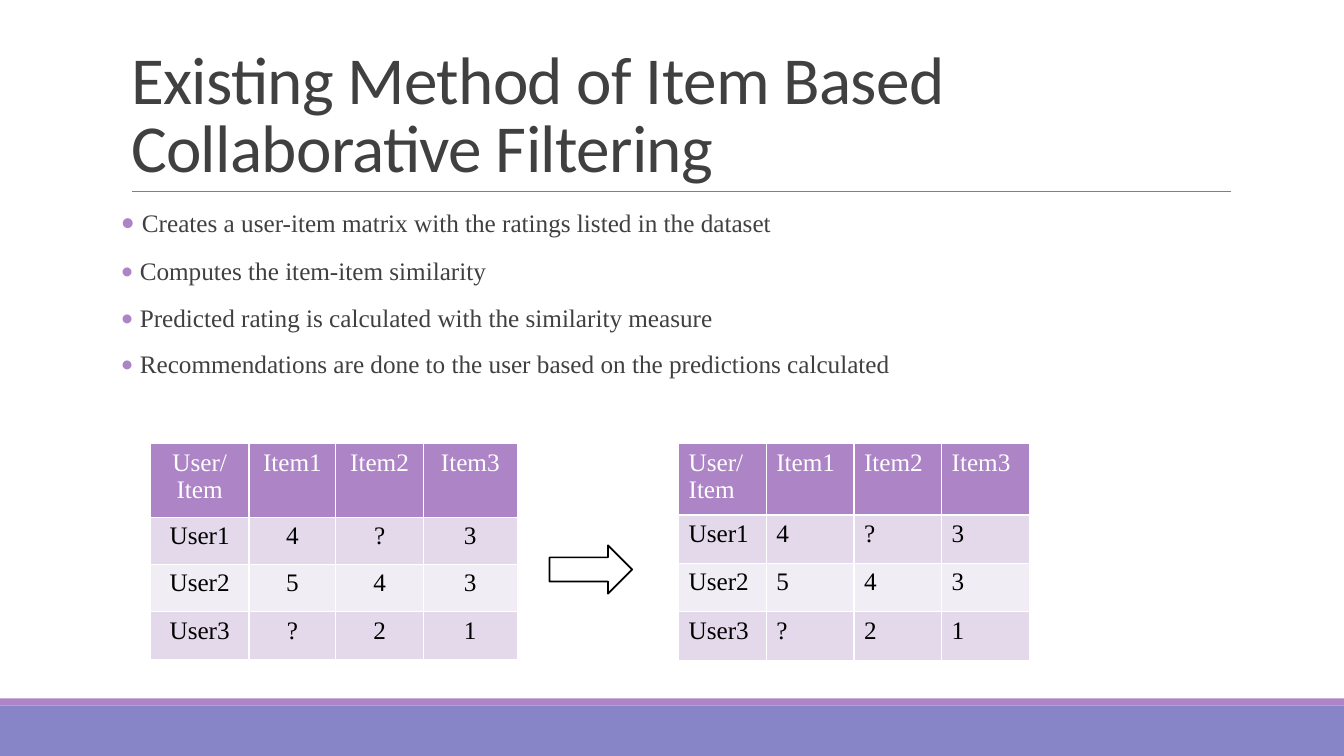
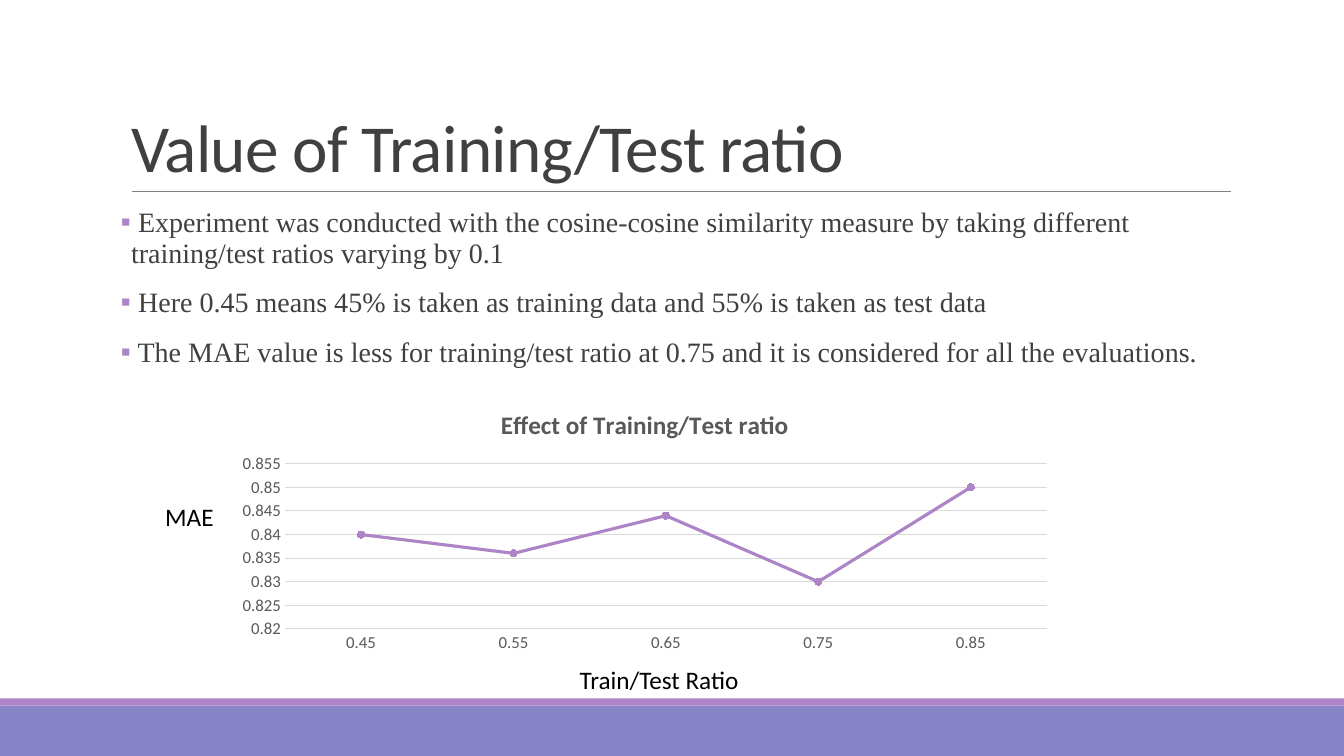
from dataclasses import dataclass

from lxml import etree
from pptx import Presentation
from pptx.chart.data import CategoryChartData
from pptx.dml.color import RGBColor
from pptx.enum.chart import XL_CHART_TYPE, XL_MARKER_STYLE, XL_TICK_MARK
from pptx.enum.shapes import MSO_CONNECTOR, MSO_SHAPE
from pptx.enum.text import MSO_ANCHOR, MSO_AUTO_SIZE, PP_ALIGN
from pptx.oxml.ns import qn
from pptx.util import Emu, Pt

LINE_MARKERS = XL_CHART_TYPE.LINE_MARKERS
CIRCLE = XL_MARKER_STYLE.CIRCLE
NO_TICK = XL_TICK_MARK.NONE
STRAIGHT = MSO_CONNECTOR.STRAIGHT
RECTANGLE = MSO_SHAPE.RECTANGLE
RIGHT_ARROW = MSO_SHAPE.RIGHT_ARROW
BOTTOM = MSO_ANCHOR.BOTTOM
NO_AUTOFIT = MSO_AUTO_SIZE.NONE
LEFT, CENTER = PP_ALIGN.LEFT, PP_ALIGN.CENTER

EMU_PER_PX = 9144  # 100 px to the inch
SLIDE_W, SLIDE_H = 1333, 750
TITLE_AND_CONTENT = 1


@dataclass(frozen=True)
class Theme:
    heading_font: str = "Calibri"
    body_font: str = "Times New Roman"
    ink: str = "404040"
    black: str = "000000"
    white: str = "FFFFFF"
    accent: str = "AD84C6"
    footer: str = "8784C7"
    rule: str = "808080"
    row_tints: tuple = ("E3D9EA", "F1EDF5")
    chart_text: str = "595959"
    grid: str = "D9D9D9"
    title_size: int = 48
    large_size: int = 20
    text_size: int = 18
    axis_size: int = 12


def px(n):
    return Emu(n * EMU_PER_PX)


def rgb(value):
    return RGBColor.from_string(value)


def add_text(p, text, *, size, font, color, align=LEFT, tracking=None):
    """Add one formatted run to paragraph p; tracking is in points."""
    p.alignment = align
    r = p.add_run()
    r.text = text
    r.font.size = Pt(size)
    r.font.name = font
    r.font.color.rgb = rgb(color)
    if tracking is not None:
        r.font._element.set("spc", str(round(tracking * 100)))


def style_line(line, color, width):
    line.color.rgb = rgb(color)
    line.width = Pt(width)


def set_bullet(p, char, color, font):
    """Give p a coloured bullet; call it after the spacing is set."""
    pPr = p._p.get_or_add_pPr()
    pPr.set("marL", str(px(10)))
    pPr.set("indent", str(px(-10)))
    clr = etree.SubElement(pPr, qn("a:buClr"))
    etree.SubElement(clr, qn("a:srgbClr"), val=color)
    etree.SubElement(pPr, qn("a:buFont"), typeface=font)
    etree.SubElement(pPr, qn("a:buChar"), char=char)


def set_borders(cell, color, width):
    tcPr = cell._tc.get_or_add_tcPr()
    for i, side in enumerate(("lnL", "lnR", "lnT", "lnB")):
        ln = etree.Element(qn(f"a:{side}"), w=str(Pt(width)))
        fill = etree.SubElement(ln, qn("a:solidFill"))
        etree.SubElement(fill, qn("a:srgbClr"), val=color)
        tcPr.insert(i, ln)


class Deck:
    def __init__(self, theme):
        self.theme = theme
        self.prs = Presentation()
        self.prs.slide_width, self.prs.slide_height = px(SLIDE_W), px(SLIDE_H)
        self.slide = None

    def new_slide(self, title):
        """Start a slide with its footer bands, title and title rule."""
        t = self.theme
        layout = self.prs.slide_layouts[TITLE_AND_CONTENT]
        self.slide = self.prs.slides.add_slide(layout)
        self.shape(RECTANGLE, 0, 700, SLIDE_W, 50, fill=t.footer)
        self.shape(RECTANGLE, 0, 693, SLIDE_W, 7, fill=t.accent)
        self.line(131, 190, 1221, 190, t.rule, 0.5)

        tf = self.place(self.slide.shapes.title, 120, 31, 1100, 159)
        tf.vertical_anchor = BOTTOM
        p = tf.paragraphs[0]
        p.line_spacing = 0.85
        add_text(p, title, size=t.title_size, font=t.heading_font,
                 color=t.ink, tracking=-0.5)

    def place(self, sp, x, y, w, h):
        """Move a placeholder and return its text frame, without autofit."""
        sp.left, sp.top, sp.width, sp.height = map(px, (x, y, w, h))
        tf = sp.text_frame
        tf.word_wrap = True
        tf.auto_size = NO_AUTOFIT
        return tf

    def shape(self, kind, x, y, w, h, *, fill=None, line=None, line_width=1):
        sp = self.slide.shapes.add_shape(kind, *map(px, (x, y, w, h)))
        sp.shadow.inherit = False
        if fill:
            sp.fill.solid()
            sp.fill.fore_color.rgb = rgb(fill)
        else:
            sp.fill.background()
        if line:
            style_line(sp.line, line, line_width)
        else:
            sp.line.fill.background()

    def line(self, x1, y1, x2, y2, color, width):
        cxn = self.slide.shapes.add_connector(
            STRAIGHT, *map(px, (x1, y1, x2, y2)))
        style_line(cxn.line, color, width)
        etree.SubElement(cxn._element.spPr, qn("a:effectLst"))

    def bullets(self, items, char, size, first_bullet_size=None):
        """Fill the body; a bullet takes the size of the space after it."""
        t = self.theme
        tf = self.place(self.slide.placeholders[1], 120, 202, 1100, 440)
        tf.margin_left = tf.margin_right = 0
        for i, item in enumerate(items):
            p = tf.add_paragraph() if i else tf.paragraphs[0]
            p.line_spacing = 0.9
            p.space_before, p.space_after = Pt(12), Pt(2)
            set_bullet(p, char, t.accent, t.heading_font)
            lead_size = size if i else first_bullet_size or size
            for text, text_size in ((" ", lead_size), (item, size)):
                add_text(p, text, size=text_size, font=t.body_font,
                         color=t.ink)

    def label(self, text, x, y, w, h):
        t = self.theme
        tf = self.slide.shapes.add_textbox(*map(px, (x, y, w, h))).text_frame
        tf.word_wrap = True
        add_text(tf.paragraphs[0], text, size=t.text_size,
                 font=t.heading_font, color=t.black)

    def table(self, rows, x, y, col_widths, row_heights, align=LEFT):
        t = self.theme
        table = self.slide.shapes.add_table(
            len(rows), len(col_widths), px(x), px(y),
            px(sum(col_widths)), px(sum(row_heights))).table
        table.first_row = table.horz_banding = False
        for col, width in zip(table.columns, col_widths):
            col.width = px(width)
        for row, height in zip(table.rows, row_heights):
            row.height = px(height)
        for i, row in enumerate(rows):
            fill = t.row_tints[(i - 1) % 2] if i else t.accent
            for j, text in enumerate(row):
                cell = table.cell(i, j)
                cell.fill.solid()
                cell.fill.fore_color.rgb = rgb(fill)
                set_borders(cell, t.white, 1)
                add_text(cell.text_frame.paragraphs[0], text,
                         size=t.text_size, font=t.body_font,
                         color=t.black if i else t.white, align=align)

    def line_chart(self, title, categories, values, x, y, w, h, scale):
        """Draw one series; scale is (minimum, maximum, step)."""
        t = self.theme
        data = CategoryChartData()
        data.categories = categories
        data.add_series("Series 1", values)
        chart = self.slide.shapes.add_chart(
            LINE_MARKERS, *map(px, (x, y, w, h)), data).chart
        chart.has_legend = False
        chart.font.name = t.heading_font
        chart.font.size = Pt(t.axis_size)
        chart.font.color.rgb = rgb(t.chart_text)
        chart.has_title = True
        chart.chart_title.include_in_layout = False
        add_text(chart.chart_title.text_frame.paragraphs[0], title,
                 size=t.text_size, font=t.heading_font, color=t.chart_text,
                 align=CENTER)

        cat_axis, val_axis = chart.category_axis, chart.value_axis
        for axis in (cat_axis, val_axis):
            axis.major_tick_mark = axis.minor_tick_mark = NO_TICK
        style_line(cat_axis.format.line, t.grid, 0.75)
        val_axis.format.line.fill.background()
        style_line(val_axis.major_gridlines.format.line, t.grid, 0.75)
        (val_axis.minimum_scale, val_axis.maximum_scale,
         val_axis.major_unit) = scale

        plot = chart.plots[0]
        plot.vary_by_categories = False
        series = plot.series[0]
        series.smooth = False
        style_line(series.format.line, t.accent, 2.25)
        marker = series.marker
        marker.style, marker.size = CIRCLE, 5
        marker.format.fill.solid()
        marker.format.fill.fore_color.rgb = rgb(t.accent)
        style_line(marker.format.line, t.accent, 0.75)


def build_method_slide(deck):
    t = deck.theme
    deck.new_slide("Existing Method of Item Based Collaborative Filtering")
    deck.bullets([
        "Creates a user-item matrix with the ratings listed in the dataset",
        "Computes the item-item similarity",
        "Predicted rating is calculated with the similarity measure",
        "Recommendations are done to the user based on the predictions "
        "calculated",
    ], "•", t.text_size, first_bullet_size=t.large_size)
    ratings = [
        ("User/ Item", "Item1", "Item2", "Item3"),
        ("User1", "4", "?", "3"),
        ("User2", "5", "4", "3"),
        ("User3", "?", "2", "1"),
    ]
    deck.table(ratings, 149, 440, [98, 86, 87, 93], [73] + [47] * 3, CENTER)
    deck.shape(RIGHT_ARROW, 545, 541, 82, 48, line=t.black, line_width=1.25)
    deck.table(ratings, 673, 440, [87] * 4, [71] + [48] * 3)


def build_ratio_slide(deck):
    deck.new_slide("Value of Training/Test ratio")
    deck.bullets([
        "Experiment was conducted with the cosine-cosine similarity measure "
        "by taking different training/test ratios varying by 0.1",
        "Here 0.45 means 45% is taken as training data and 55% is taken as "
        "test data",
        "The MAE value is less for training/test ratio at 0.75 and it is "
        "considered for all the evaluations.",
    ], "▪", deck.theme.large_size)
    deck.line_chart("Effect of Training/Test ratio",
                    ["0.45", "0.55", "0.65", "0.75", "0.85"],
                    [0.84, 0.836, 0.844, 0.83, 0.85],
                    224, 389, 831, 264, scale=(0.82, 0.855, 0.005))
    deck.label("MAE", 154, 492, 70, 40)
    deck.label("Train/Test Ratio", 565, 654, 210, 40)


def main():
    deck = Deck(Theme())
    build_method_slide(deck)
    build_ratio_slide(deck)
    deck.prs.save("out.pptx")


if __name__ == "__main__":
    main()
